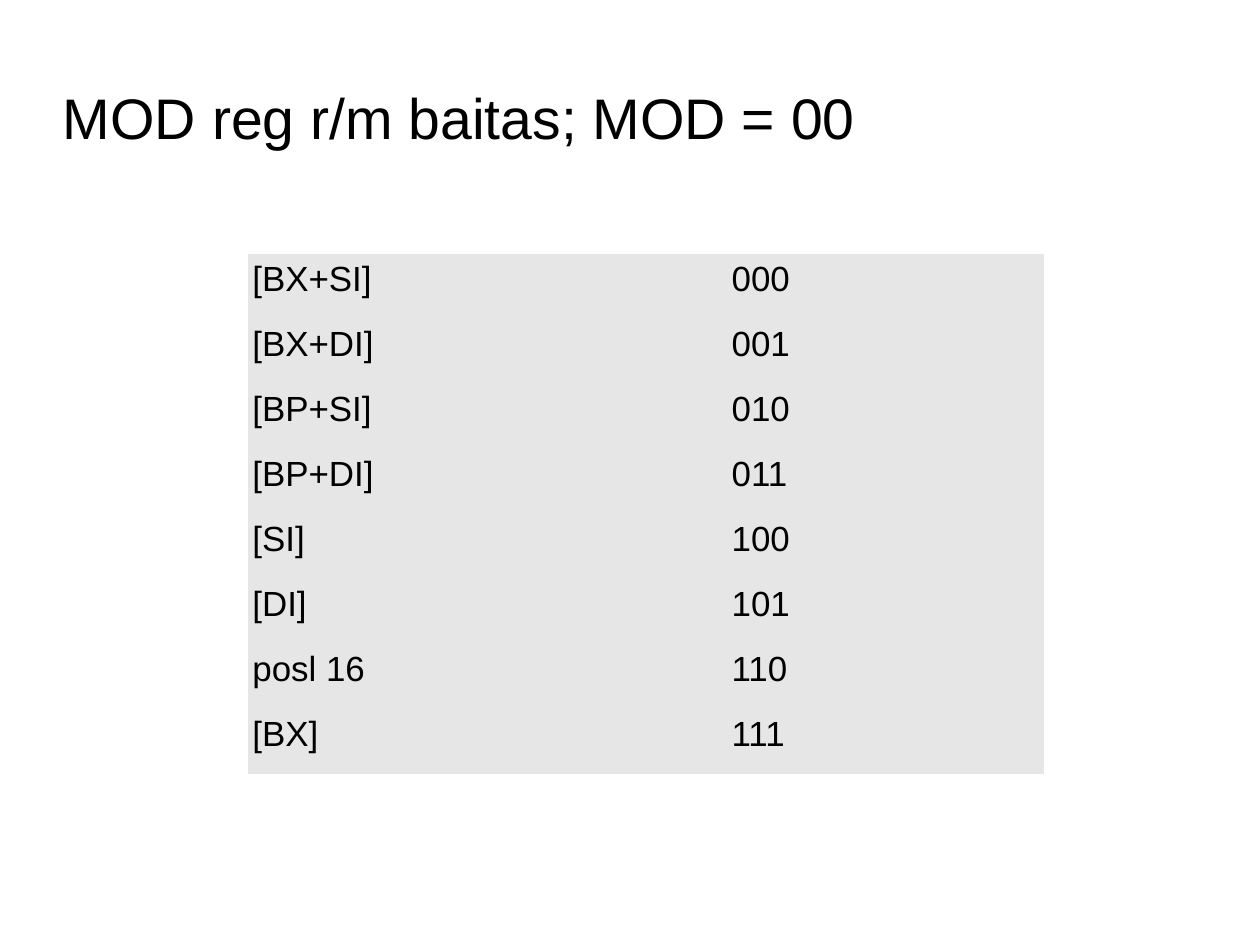
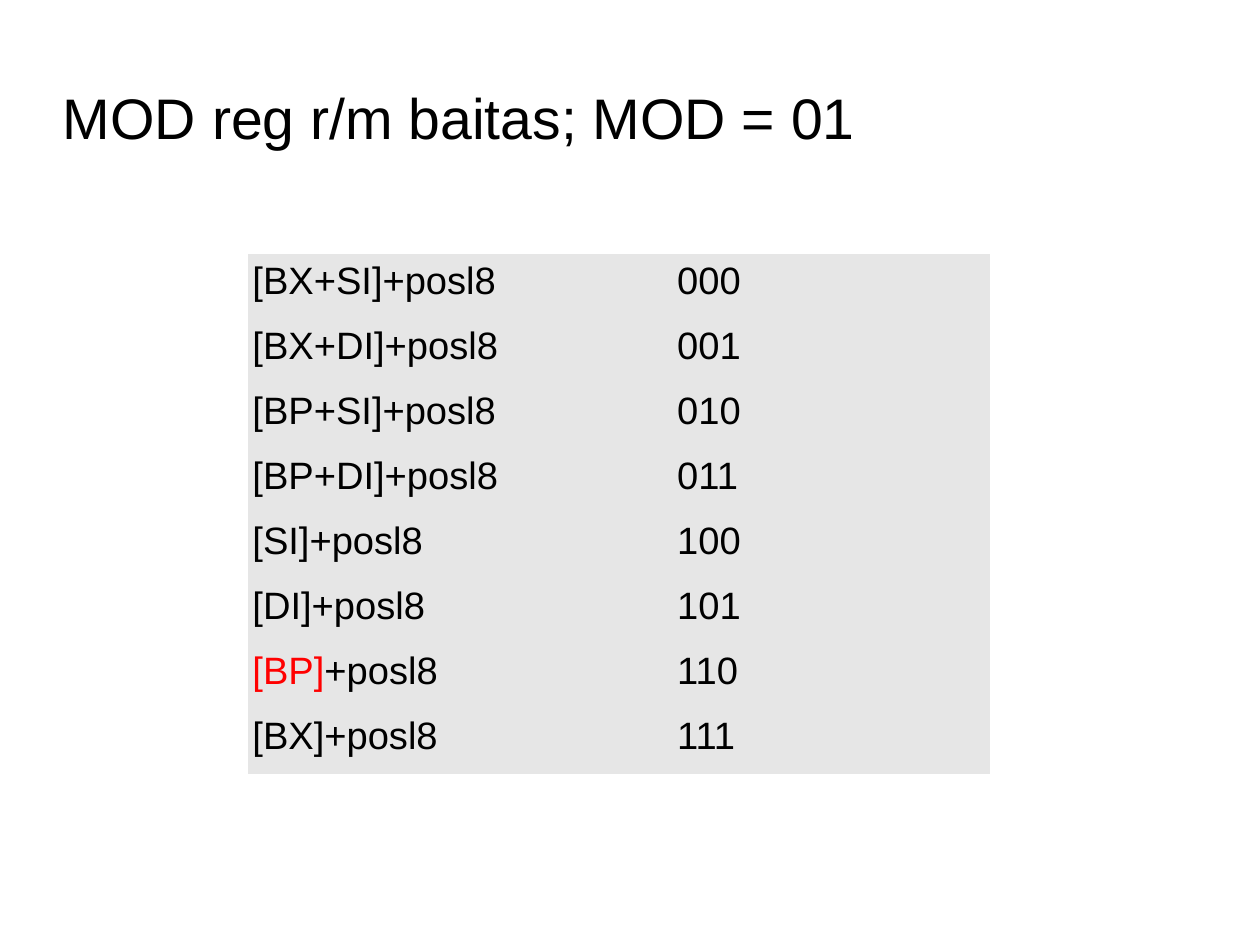
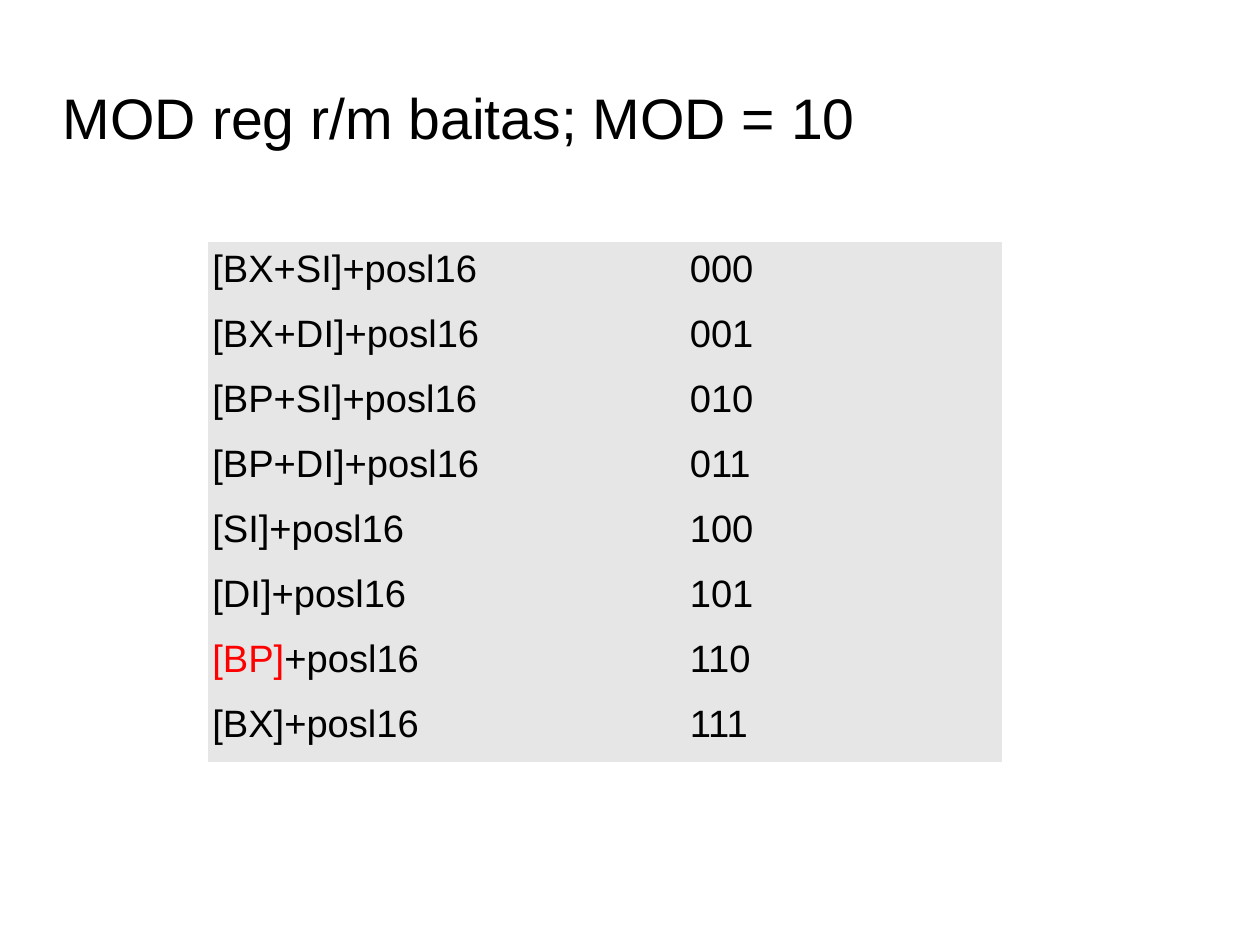
from dataclasses import dataclass

from pptx import Presentation
from pptx.dml.color import RGBColor
from pptx.enum.text import MSO_ANCHOR
from pptx.oxml.ns import qn
from pptx.slide import Slide
from pptx.util import Cm, Pt

BLACK = RGBColor(0x00, 0x00, 0x00)
RED = RGBColor(0xFF, 0x00, 0x00)
GREY = RGBColor(0xE6, 0xE6, 0xE6)
FONT = "Arial"
NO_STYLE = "{2D5ABB26-0587-4C30-8999-92F81FD0307C}"

BASES = ("[BX+SI]", "[BX+DI]", "[BP+SI]", "[BP+DI]", "[SI]", "[DI]", "[BP]", "[BX]")
DIRECT = "[BP]"  # the base that MOD = 00 swaps for a plain offset
GAP = 0.6
CODE = 7.04
HEIGHT = 11.56

TITLE = {
    "margin_left": 0, "margin_right": 0, "margin_top": 0, "margin_bottom": 0,
    "word_wrap": True, "vertical_anchor": MSO_ANCHOR.MIDDLE,
}
CELL = {
    "margin_left": Cm(0.1), "margin_right": Cm(0.1),
    "margin_top": Cm(0.13), "margin_bottom": Cm(0.13),
    "vertical_anchor": MSO_ANCHOR.TOP,
}
PLAIN = {"first_row": False, "horz_banding": False}


@dataclass(frozen=True)
class Mode:
    """One MOD value; left, top and width (of the address column) are in cm."""
    bits: str
    offset: str
    left: float
    top: float
    width: float
    size: int


MODES = (
    Mode("00", "", 5.51, 5.64, 10.05, 22),
    Mode("01", "+posl8", 5.51, 5.64, 8.84, 24),
    Mode("10", "+posl16", 4.62, 5.38, 10.01, 24),
)


def apply(item: object, values: dict) -> None:
    for name, value in values.items():
        setattr(item, name, value)


def write(frame, size: int, *parts: tuple[str, RGBColor]) -> None:
    for text, color in parts:
        run = frame.paragraphs[0].add_run()
        run.text = text
        apply(run.font, {"name": FONT, "size": Pt(size)})
        run.font.color.rgb = color


def address(mode: Mode, base: str) -> list[tuple[str, RGBColor]]:
    """Return the coloured parts of an address."""
    if base != DIRECT:
        return [(base + mode.offset, BLACK)]
    if not mode.offset:
        return [("posl 16", BLACK)]
    return [(base, RED), (mode.offset, BLACK)]


def add_title(slide: Slide, text: str) -> None:
    frame = slide.shapes.add_textbox(Cm(1.4), Cm(1.6), Cm(20), Cm(2)).text_frame
    apply(frame, TITLE)
    write(frame, 36, (text, BLACK))


def add_codes(slide: Slide, mode: Mode) -> None:
    """Add the table of addresses and their r/m codes."""
    widths = (mode.width, GAP, CODE)
    shape = slide.shapes.add_table(
        len(BASES), len(widths),
        Cm(mode.left), Cm(mode.top), Cm(sum(widths)), Cm(HEIGHT),
    )
    table = shape.table
    apply(table, PLAIN)
    shape.element.find(".//" + qn("a:tableStyleId")).text = NO_STYLE
    for column, width in zip(table.columns, widths):
        column.width = Cm(width)
    for cell in table.iter_cells():
        apply(cell, CELL)
        cell.fill.solid()
        cell.fill.fore_color.rgb = GREY
    for row, base in enumerate(BASES):
        write(table.cell(row, 0).text_frame, mode.size, *address(mode, base))
        write(table.cell(row, 2).text_frame, mode.size, (f"{row:03b}", BLACK))


def main() -> None:
    deck = Presentation()
    apply(deck, {"slide_width": Cm(28), "slide_height": Cm(21)})
    blank = deck.slide_layouts[6]
    for mode in MODES:
        slide = deck.slides.add_slide(blank)
        add_title(slide, f"MOD reg r/m baitas; MOD = {mode.bits}")
        add_codes(slide, mode)
    deck.save("out.pptx")


if __name__ == "__main__":
    main()
